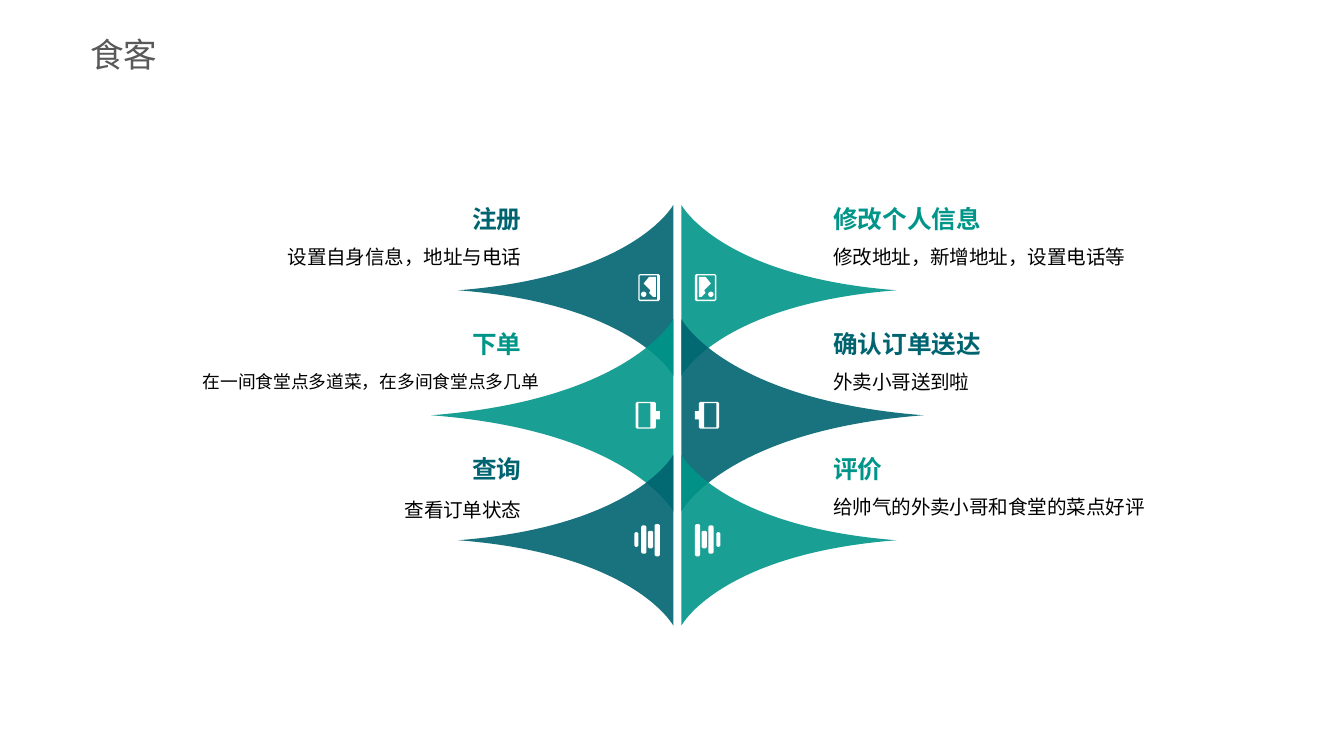
"""Build the diner slide: six curved petals with icons and captions."""
import math

import lxml.etree
import pptx
import pptx.dml.color
import pptx.enum.text
import pptx.oxml.ns
import pptx.util

Inches = pptx.util.Inches
qn = pptx.oxml.ns.qn
FONT = "Noto Sans CJK SC"
COLORS = {"deep": "006470", "teal": "009589", "white": "FFFFFF",
          "black": "000000", "grey": "595959"}
CENTRE_X, HALF_GAP = 5.04, 0.03
FIRST_ROW_Y, ROW_PITCH = 2.16, 0.93
PETAL_SIZES = [(1.6, 1.27), (1.8, 1.43), (1.6, 1.27)]

LEFT = [
    {"title": "注册", "detail": "设置自身信息，地址与电话", "color": "deep"},
    {"title": "下单", "detail": "在一间食堂点多道菜，在多间食堂点多几单",
     "color": "teal", "size": 9.5, "width": 3.6},
    {"title": "查询", "detail": "查看订单状态", "color": "deep", "drop": 0.02},
]
RIGHT = [
    {"title": "修改个人信息", "detail": "修改地址，新增地址，设置电话等", "color": "teal"},
    {"title": "确认订单送达", "detail": "外卖小哥送到啦", "color": "deep"},
    {"title": "评价", "detail": "给帅气的外卖小哥和食堂的菜点好评", "color": "teal"},
]


def rounded_box(left, top, right, bottom, cut=0.01):
    return [(left + cut, top), (right - cut, top), (right, top + cut),
            (right, bottom - cut), (right - cut, bottom), (left + cut, bottom),
            (left, bottom - cut), (left, top + cut)]


def dot(x, y, radius, steps=16):
    angles = [2 * math.pi * step / steps for step in range(steps)]
    return [(x + radius * math.cos(a), y + radius * math.sin(a)) for a in angles]


def petal(width, height):
    half = height / 2
    return [(0, -half), (0, -half), (0.18 * width, -0.16 * half), (width, 0),
            (0.18 * width, 0.16 * half), (0, half), (0, half)]


ICONS = [
    [rounded_box(0.10, -0.12, 0.26, 0.08), rounded_box(0.12, -0.11, 0.25, 0.07, 0),
     dot(0.22, 0.03, 0.02),
     [(0.13, -0.10), (0.13, 0.05), (0.15, 0.05), (0.18, 0.02), (0.17, 0),
      (0.22, -0.05), (0.18, -0.10)]],
    [rounded_box(0.13, -0.10, 0.28, 0.10), rounded_box(0.17, -0.09, 0.26, 0.09, 0),
     rounded_box(0.10, -0.03, 0.13, 0.03, 0)],
    [rounded_box(0.10, -0.12, 0.14, 0.12), rounded_box(0.15, -0.07, 0.19, 0.06),
     rounded_box(0.20, -0.11, 0.24, 0.10), rounded_box(0.26, -0.06, 0.29, 0.05)],
]


def bend(outline):
    """Turn each run of three line points into one cubic curve."""
    for geometry in outline._element.iter(qn("a:path")):
        segments = geometry.findall(qn("a:lnTo"))
        for start in range(0, len(segments), 3):
            curve = lxml.etree.Element(qn("a:cubicBezTo"))
            segments[start].addprevious(curve)
            for segment in segments[start:start + 3]:
                curve.append(segment[0])
                geometry.remove(segment)


def add_outline(slide, contours, side, y, color, curved=False, opacity=100):
    """Draw contours measured outward from the central gap."""
    placed = [[(Inches(CENTRE_X + side * (HALF_GAP + dx)), Inches(y + dy))
               for dx, dy in contour] for contour in contours]
    builder = slide.shapes.build_freeform(*placed[0][0])
    for index, contour in enumerate(placed):
        if index:
            builder.move_to(*contour[0])
        builder.add_line_segments(contour[1:], close=True)
    outline = builder.convert_to_shape()
    outline.shadow.inherit = False
    outline.line.fill.background()
    outline.fill.solid()
    outline.fill.fore_color.rgb = pptx.dml.color.RGBColor.from_string(COLORS[color])
    if curved:
        bend(outline)
    if opacity < 100:
        tint = next(outline._element.spPr.iter(qn("a:srgbClr")))
        lxml.etree.SubElement(tint, qn("a:alpha"), val=str(opacity * 1000))


def add_text(slide, words, left, top, width, height, size, color, bold=False,
             align="LEFT", spacing=1.0, insets=(0.39, 0, 0.31, 0)):
    """Place one line of formatted text."""
    box = slide.shapes.add_textbox(*map(Inches, (left, top, width, height)))
    frame = box.text_frame
    frame.word_wrap = True
    frame.vertical_anchor = pptx.enum.text.MSO_ANCHOR.MIDDLE
    (frame.margin_left, frame.margin_top,
     frame.margin_right, frame.margin_bottom) = map(Inches, insets)
    paragraph = frame.paragraphs[0]
    paragraph.alignment = getattr(pptx.enum.text.PP_ALIGN, align)
    paragraph.line_spacing = spacing
    run = paragraph.add_run()
    run.text = words
    run.font.size = pptx.util.Pt(size)
    run.font.bold = bold
    run.font.name = FONT
    run.font.color.rgb = pptx.dml.color.RGBColor.from_string(COLORS[color])
    lxml.etree.SubElement(run._r.get_or_add_rPr(), qn("a:ea"), typeface=FONT)


def add_caption(slide, step, left, y, align):
    """Place the heading and detail beside a petal."""
    add_text(slide, step["title"], left, y - 0.65, 3.47, 0.24, size=13.2,
             color=step["color"], bold=True, align=align)
    add_text(slide, step["detail"], left, y - 0.41 + step.get("drop", 0),
             step.get("width", 3.47), 0.29, size=step.get("size", 10.5),
             color="black", align=align, spacing=1.2)


def add_side(slide, steps, side, text_left, align):
    """Draw one column of petals, icons and captions."""
    for row, step in enumerate(steps):
        y = FIRST_ROW_Y + row * ROW_PITCH
        add_outline(slide, [petal(*PETAL_SIZES[row])], side, y, step["color"],
                    curved=True, opacity=90)
        add_outline(slide, ICONS[row], side, y, "white")
        add_caption(slide, step, text_left, y, align)


def main():
    deck = pptx.Presentation()
    deck.slide_width = Inches(10)
    deck.slide_height = deck.slide_width * 9 // 16
    slide = deck.slides.add_slide(deck.slide_layouts[6])
    add_side(slide, LEFT, -1, 0.72, "RIGHT")
    add_side(slide, RIGHT, 1, 5.81, "LEFT")
    add_text(slide, "食客", 0.67, 0.19, 2.33, 0.42, size=18, color="grey",
             insets=(0, 0.05, 0, 0.05))
    deck.save("out.pptx")


main()
